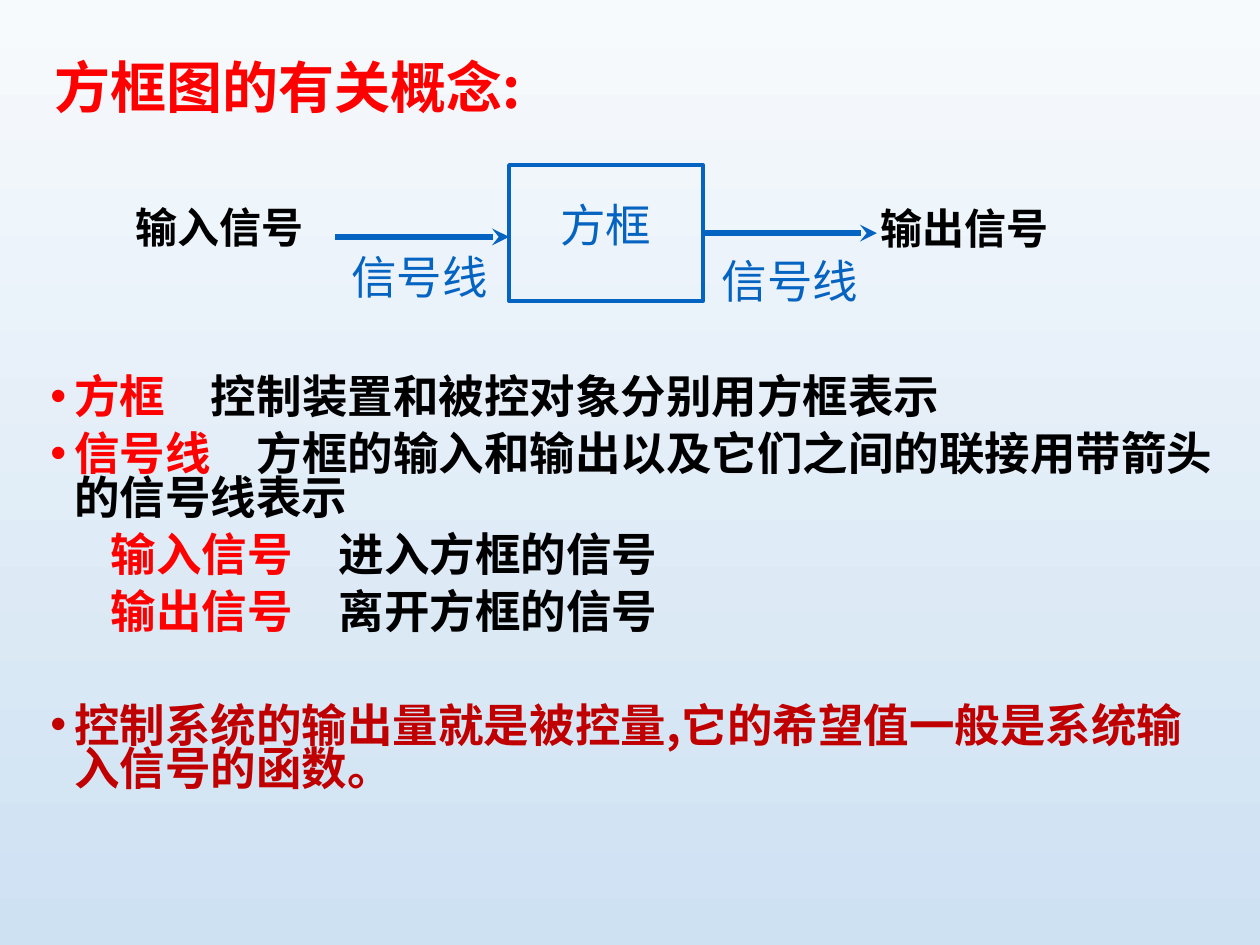
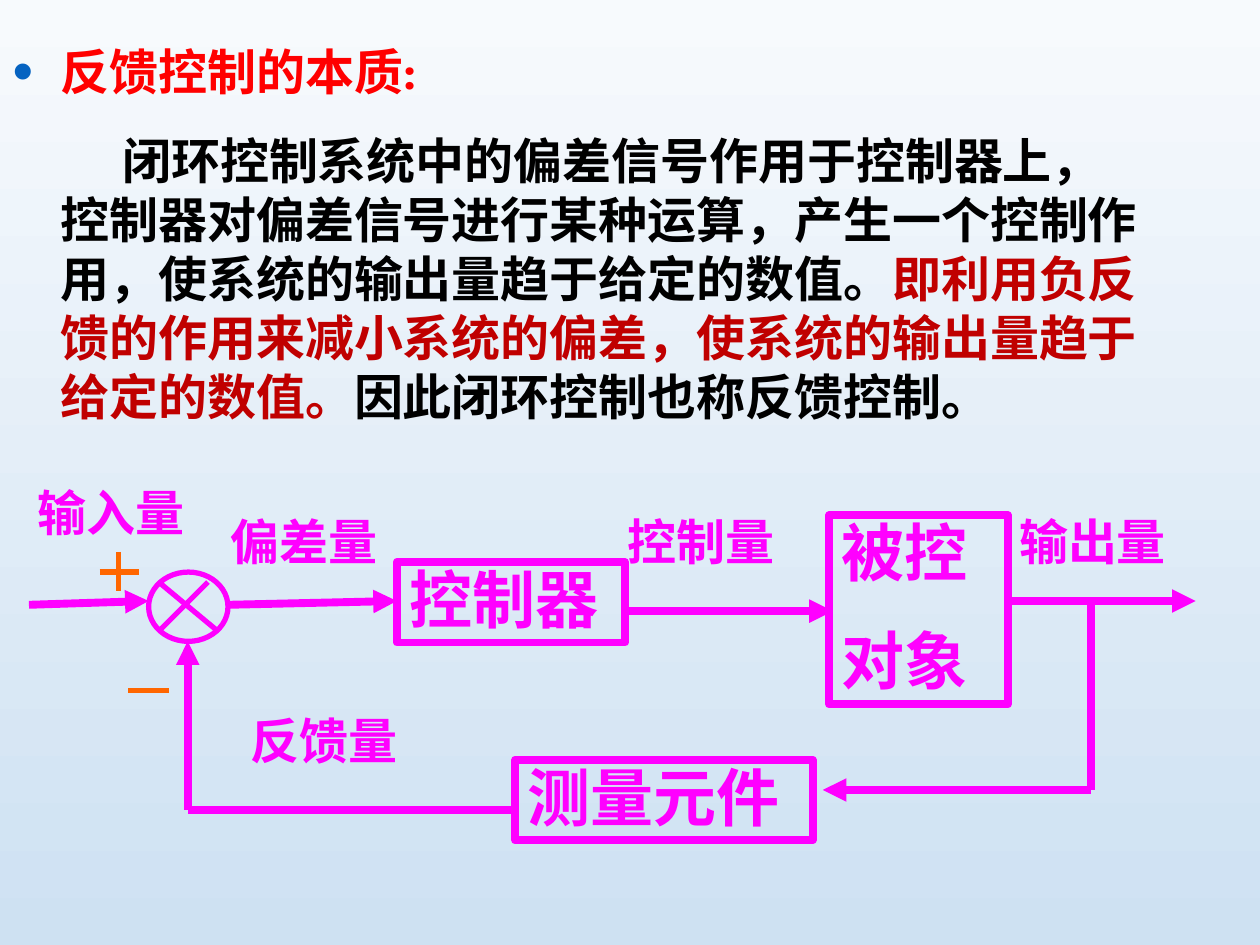
from lxml.etree import SubElement
from pptx import Presentation
from pptx.dml.color import RGBColor
from pptx.enum.shapes import MSO_CONNECTOR, MSO_SHAPE
from pptx.enum.text import MSO_ANCHOR, MSO_AUTO_SIZE, PP_ALIGN
from pptx.oxml.ns import qn
from pptx.util import Inches, Pt

RED = RGBColor(0xFF, 0x00, 0x00)
DARK_RED = RGBColor(0xC0, 0x00, 0x00)
BLACK = RGBColor(0x00, 0x00, 0x00)
BLUE = RGBColor(0x05, 0x63, 0xC1)
MAGENTA = RGBColor(0xFF, 0x00, 0xFF)
ORANGE = RGBColor(0xFF, 0x66, 0x00)
BACKGROUND = (RGBColor(0xF7, 0xFA, 0xFD), RGBColor(0xCE, 0xE1, 0xF2))

CJK_FONT = "Noto Sans CJK SC"
LINE_HEIGHT = 1.2  # line pitch as a multiple of the font size

TITLE = dict(name=CJK_FONT, size=32, bold=True, spacing=0.9)
LIST = dict(name=CJK_FONT, size=26, bold=True, spacing=0.8)
SIGNAL = dict(name=CJK_FONT, size=24, bold=True, spacing=1)
BLUE_TEXT = dict(name="Times New Roman", size=26, bold=False, spacing=1)
ESSAY = dict(name="Karla", size=28, bold=True, spacing=1)
QUANTITY = dict(ESSAY, spacing=0.9)
BLOCK = dict(QUANTITY, size=36)


def place(sp, left, top, width, height):
    box = dict(left=left, top=top, width=width, height=height)
    for side, value in box.items():
        setattr(sp, side, Inches(value))


def set_bullet(p, color, percent=100):
    """Give the paragraph a round bullet, or none when color is None."""
    pPr = p._p.get_or_add_pPr()
    if color is None:
        SubElement(pPr, qn("a:buNone"))
        return
    clr = SubElement(pPr, qn("a:buClr"))
    SubElement(clr, qn("a:srgbClr"), val=str(color))
    SubElement(pPr, qn("a:buSzPct"), val=str(percent * 1000))
    SubElement(pPr, qn("a:buFont"), typeface="Arial")
    SubElement(pPr, qn("a:buChar"), char="•")


def set_indent(p, margin, first):
    pPr = p._p.get_or_add_pPr()
    pPr.set("marL", str(Inches(margin)))
    pPr.set("indent", str(Inches(first)))


def write(p, runs, style, before=0, align=PP_ALIGN.LEFT):
    """Fill a paragraph with (text, colour) runs in one style."""
    line = Pt(round(style["size"] * LINE_HEIGHT * style["spacing"], 1))
    layout = dict(alignment=align, line_spacing=line, space_before=Pt(before), space_after=Pt(0))
    for key, value in layout.items():
        setattr(p, key, value)
    for text, color in runs:
        r = p.add_run()
        r.text = text
        for key in ("name", "bold"):
            setattr(r.font, key, style[key])
        r.font.size = Pt(style["size"])
        r.font.color.rgb = color
        SubElement(r._r.get_or_add_rPr(), qn("a:ea"), typeface=CJK_FONT)


def setup_frame(sp, anchor=MSO_ANCHOR.TOP):
    tf = sp.text_frame
    frame = dict(word_wrap=True, auto_size=MSO_AUTO_SIZE.NONE, vertical_anchor=anchor)
    for key, value in frame.items():
        setattr(tf, key, value)
    return tf


def add_items(tf, items, style):
    """Write items of (runs, bullet colour, bullet percent, margin, first indent, space before)."""
    for i, (runs, color, percent, margin, first, before) in enumerate(items):
        p = tf.add_paragraph() if i else tf.paragraphs[0]
        set_indent(p, margin, first)
        write(p, runs, style, before)
        set_bullet(p, color, percent)


def add_label(slide, box, text, color, style):
    sp = slide.shapes.add_textbox(*map(Inches, box))
    write(setup_frame(sp).paragraphs[0], [(text, color)], style)


def add_outline(slide, shape, box, color, weight):
    sp = slide.shapes.add_shape(shape, *map(Inches, box))
    sp.shadow.inherit = False
    sp.fill.background()
    sp.line.color.rgb = color
    sp.line.width = Pt(weight)
    return sp


def add_block(slide, box, lines, color, weight, style, align=PP_ALIGN.LEFT, inset=0.05):
    sp = add_outline(slide, MSO_SHAPE.RECTANGLE, box, color, weight)
    tf = setup_frame(sp)
    tf.margin_top = Inches(inset)
    for i, text in enumerate(lines):
        p = tf.add_paragraph() if i else tf.paragraphs[0]
        write(p, [(text, color)], style, 22.5 if i else 0, align)


def add_line(slide, start, end, color, weight, head=None):
    points = map(Inches, (*start, *end))
    line = slide.shapes.add_connector(MSO_CONNECTOR.STRAIGHT, *points)
    line.line.color.rgb = color
    line.line.width = Pt(weight)
    if head:
        SubElement(line.line._get_or_add_ln(), qn("a:tailEnd"), type=head)
    SubElement(line._element.spPr, qn("a:effectLst"))


def set_background(master):
    fill = master.background.fill
    fill.gradient()
    fill.gradient_angle = 270
    for stop, color in zip(fill.gradient_stops, BACKGROUND):
        stop.color.rgb = color


def build_concepts(slide):
    title, body = slide.placeholders
    place(title, 0.33, 0.25, 8.5, 0.92)
    tf = setup_frame(title, MSO_ANCHOR.MIDDLE)
    write(tf.paragraphs[0], [("方框图的有关概念:", RED)], TITLE)

    place(body, 0.3, 2.96, 9.5, 3.5)
    hang, gap = (0.19, -0.19), 7.5
    nested = (0.48, 0)
    add_items(setup_frame(body), [
        ([("方框", RED), ("　控制装置和被控对象分别用方框表示", BLACK)],
         RED, 100, *hang, 0),
        ([("信号线", RED),
          ("　方框的输入和输出以及它们之间的联接用带箭头的信号线表示", BLACK)],
         RED, 100, *hang, gap),
        ([("输入信号", RED), ("　进入方框的信号", BLACK)], None, 100, *nested, gap),
        ([("输出信号", RED), ("　离开方框的信号", BLACK)], None, 100, *nested, gap),
        ([("控制系统的输出量就是被控量,它的希望值一般是系统输入信号的函数。", DARK_RED)],
         DARK_RED, 100, *hang, 40),
    ], LIST)

    add_block(slide, (4.04, 1.31, 1.54, 1.08), ["方框"], BLUE, 2.25,
              BLUE_TEXT, PP_ALIGN.CENTER, 0.25)
    for x, y in ((2.66, 1.88), (5.58, 1.85)):
        add_line(slide, (x, y), (x + 1.38, y), BLUE, 3.25, "stealth")
    for box in ((2.69, 1.93, 1.52, 0.87), (5.63, 1.96, 1.33, 0.87)):
        add_label(slide, box, "信号线", BLUE, BLUE_TEXT)
    for text, x, y in (("输入信号", 0.98, 1.55), ("输出信号", 6.89, 1.56)):
        add_label(slide, (x, y, 1.58, 0.5), text, BLACK, SIGNAL)


def add_summing_point(slide):
    add_outline(slide, MSO_SHAPE.OVAL, (1.18, 4.54, 0.63, 0.55), MAGENTA, 3)
    strokes = [
        ((1.26, 4.62), (1.73, 5.01), MAGENTA),
        ((1.65, 4.62), (1.26, 5.01), MAGENTA),
        ((0.79, 4.54), (1.1, 4.54), ORANGE),
        ((0.94, 4.38), (0.94, 4.69), ORANGE),
        ((1.02, 5.48), (1.34, 5.48), ORANGE),
    ]
    for start, end, color in strokes:
        add_line(slide, start, end, color, 3)


def add_feedback_loop(slide):
    blocks = [
        (["控制器"], (3.15, 4.46, 1.81, 0.64)),
        (["被控", "对象"], (6.58, 4.09, 1.42, 1.5)),
        (["测量元件"], (4.09, 6.03, 2.36, 0.64)),
    ]
    for lines, box in blocks:
        add_block(slide, box, lines, MAGENTA, 4.5, BLOCK)

    arrow = "triangle"
    links = [
        ((0.23, 4.8), (1.18, 4.77), arrow),
        ((1.81, 4.8), (3.15, 4.77), arrow),
        ((4.96, 4.85), (6.61, 4.85), arrow),
        ((7.99, 4.77), (9.49, 4.77), arrow),
        ((8.66, 4.77), (8.66, 6.27), None),
        ((8.66, 6.27), (6.53, 6.27), arrow),
        ((4.09, 6.43), (1.49, 6.43), None),
        ((1.49, 6.43), (1.49, 5.09), arrow),
    ]
    for start, end, head in links:
        add_line(slide, start, end, MAGENTA, 4.5, head)

    quantities = [
        ("输入量", 0.2, 3.83), ("偏差量", 1.73, 4.06), ("控制量", 4.88, 4.06),
        ("输出量", 7.99, 4.06), ("反馈量", 1.89, 5.64),
    ]
    for text, x, y in quantities:
        add_label(slide, (x, y, 1.5, 0.52), text, MAGENTA, QUANTITY)


def build_feedback(slide):
    title, body = slide.placeholders
    title._element.getparent().remove(title._element)
    place(body, 0, 0.28, 9.21, 3.86)
    add_items(setup_frame(body), [
        ([("反馈控制的本质:", RED)], BLUE, 120, 0.38, -0.38, 0),
        ([("闭环控制系统中的偏差信号作用于控制器上，控制器对偏差信号进行某种运算，"
           "产生一个控制作用，使系统的输出量趋于给定的数值。", BLACK),
          ("即利用负反馈的作用来减小系统的偏差，使系统的输出量趋于给定的数值。", DARK_RED),
          ("因此闭环控制也称反馈控制。", BLACK)],
         None, 100, 0.38, 0.49, 17.5),
    ], ESSAY)
    add_summing_point(slide)
    add_feedback_loop(slide)


def main():
    prs = Presentation()
    prs.slide_width, prs.slide_height = Inches(10), Inches(7.5)
    set_background(prs.slide_master)
    layout = prs.slide_layouts.get_by_name("Title and Content")
    for build in (build_concepts, build_feedback):
        build(prs.slides.add_slide(layout))
    prs.save("out.pptx")


if __name__ == "__main__":
    main()
